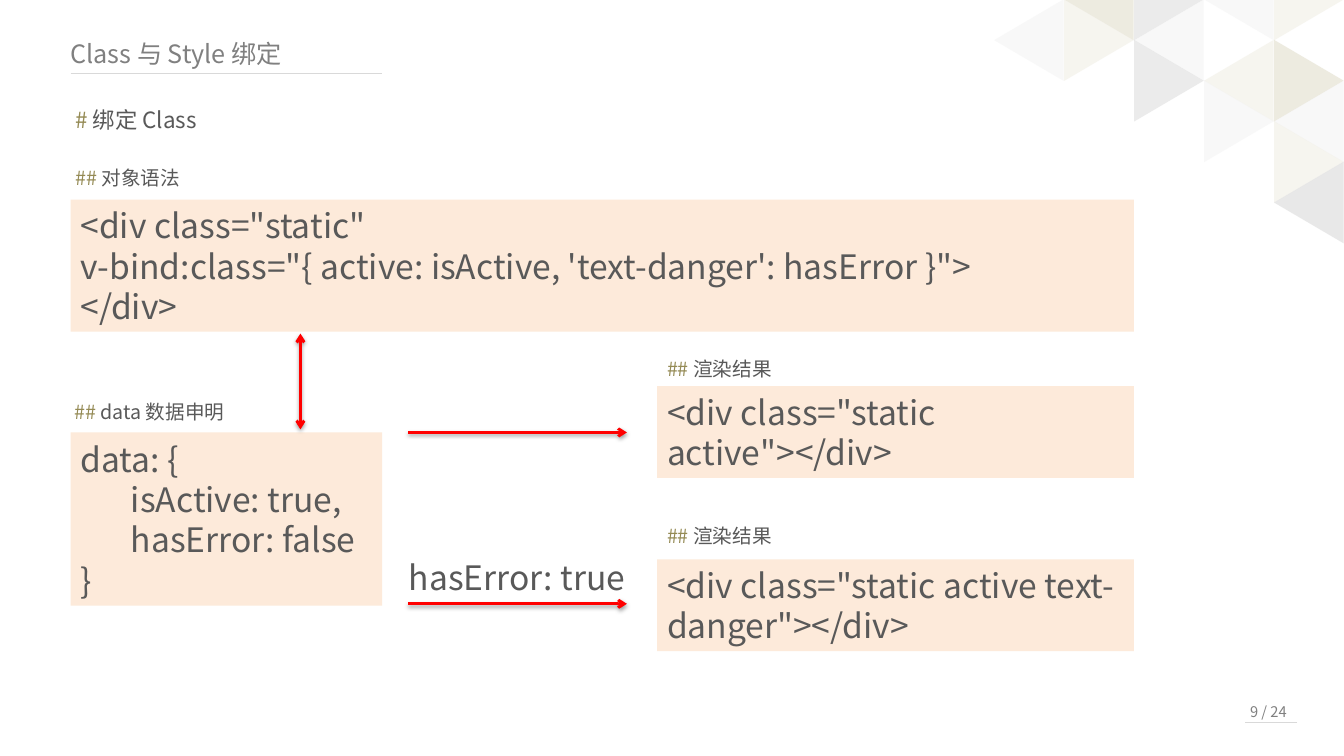
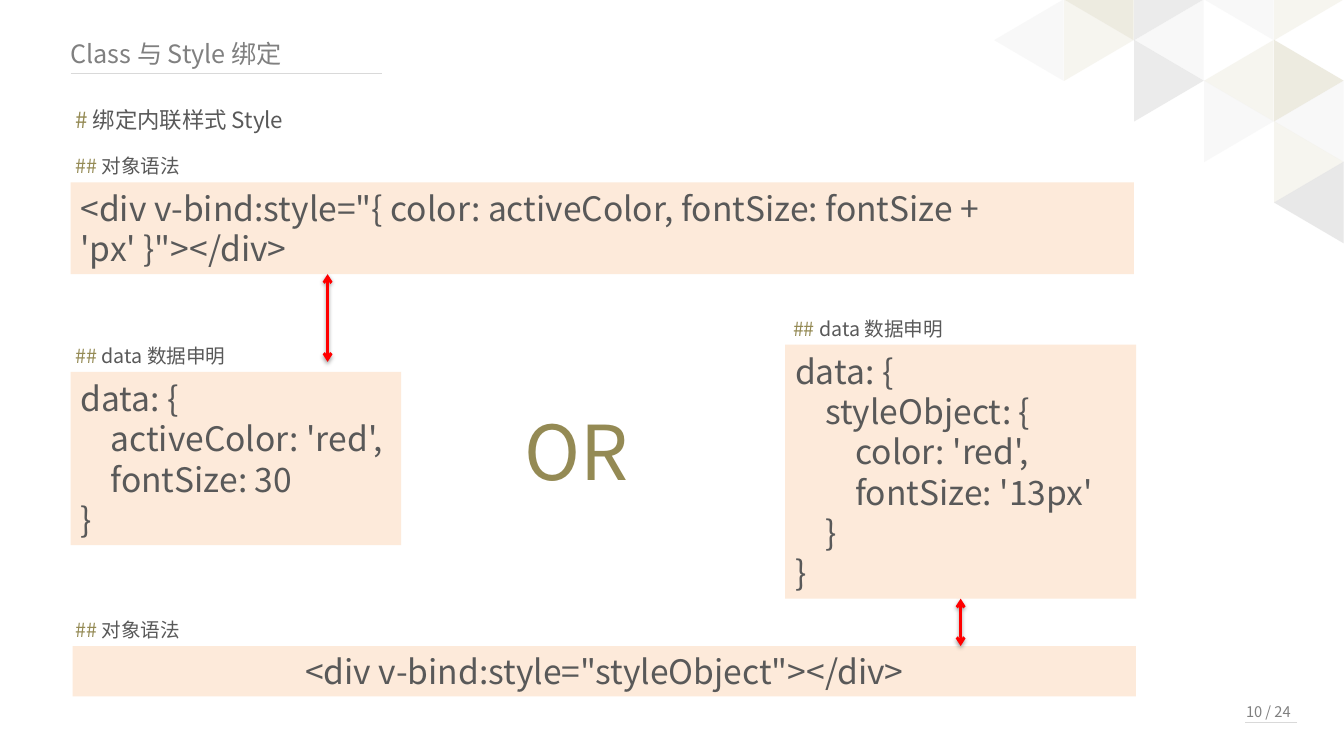
"""Build two slides on class and style binding, with code boxes joined by arrows."""
from lxml import etree
from pptx import Presentation
from pptx.dml.color import RGBColor
from pptx.enum import shapes, text
from pptx.oxml import ns
from pptx.util import Pt

FONT = "Noto Sans CJK SC"
COLORS = {
    "title": "808080", "body": "595959", "accent": "948A54", "rule": "D9D9D9",
    "code": "FDEADA", "arrow": "FF0000", "shadow": "000000",
    "khaki": "DDD9C3", "gray": "D9D9D9", "pale": "F2F2F2", "cream": "EEECE1", "white": "FFFFFF",
}
TITLE = "Class 与 Style 绑定"
PAGE_TOTAL = 24
LEFT, WIDE = 50.4, 759.6
LABEL_LEFT = 46.8
RESULT_LEFT, RESULT_WIDTH = 469.4, 340.6

MOSAIC_ORIGIN, MOSAIC_STEP, TRIANGLE = (705.8, -25.2), (50, 29), (58.3, 49.7)
MOSAIC = [
    (1, 0, 270, "khaki"), (2, 0, 90, "gray"), (3, 0, 270, "pale"), (4, 0, 90, "cream"),
    (1, 1, 90, "cream"), (2, 1, 270, "pale"), (3, 1, 90, "white"), (2, 2, 90, "gray"),
    (3, 2, 270, "cream"), (4, 2, 90, "khaki"), (3, 3, 90, "pale"), (4, 3, 270, "pale"),
    (0, 1, 270, "pale"), (4, 4, 90, "cream"), (4, 5, 270, "pale"), (4, 5, 270, "gray"),
]

SLIDES = [
    {
        "page": 9,
        "heading": "绑定 Class",
        "labels": [
            (LABEL_LEFT, 115.2, "对象语法"), (46, 282.2, "data 数据申明"),
            (RESULT_LEFT, 251.3, "渲染结果"), (RESULT_LEFT, 370.8, "渲染结果"),
        ],
        "code": [
            ((LEFT, 142.6, WIDE, 94.3), "left", [
                (0, '<div class="static"'),
                (0, "v-bind:class=\"{ active: isActive, 'text-danger': hasError }\">"),
                (0, "</div>")]),
            ((LEFT, 308.9, 222.5, 123.8), "left", [
                (0, "data: {"), (36, "isActive: true,"), (36, "hasError: false"), (0, "}")]),
            ((RESULT_LEFT, 275.8, RESULT_WIDTH, 65.5), "left", [
                (0, '<div class="static active"></div>')]),
            ((RESULT_LEFT, 399.6, RESULT_WIDTH, 65.5), "left", [
                (0, '<div class="static active text-danger"></div>')]),
        ],
        "captions": [((285, 394.6, 175, 36), 24, "body", "left", "hasError: true")],
        "arrows": [
            ((214.6, 238.3), (214.6, 306.7), True, None),
            ((291.6, 308.9), (447.8, 308.9), False, None),
            ((291.6, 431.3), (447.8, 431.3), False, None),
        ],
    },
    {
        "page": 10,
        "heading": "绑定内联样式 Style",
        "labels": [
            (LABEL_LEFT, 106.6, "对象语法"), (LABEL_LEFT, 241.9, "data 数据申明"),
            (LABEL_LEFT, 437.8, "对象语法"), (559.4, 222.5, "data 数据申明"),
        ],
        "code": [
            ((LEFT, 130.3, WIDE, 65.5), "left", [
                (0, "<div v-bind:style=\"{ color: activeColor, fontSize: fontSize +\v'px' }\"></div>")]),
            ((LEFT, 265.7, 236.2, 123.8), "left", [
                (0, "data: {"), (21.5, "activeColor: 'red',"), (21.5, "fontSize: 30"), (0, "}")]),
            ((51.8, 461.5, WIDE, 36), "center", [
                (0, '<div v-bind:style="styleObject"></div>')]),
            ((560.9, 246.2, 250.6, 181.4), "left", [
                (0, "data: {"), (21.5, "styleObject: {"), (43, "color: 'red',"),
                (43, "fontSize: '13px'"), (21.5, "}"), (0, "}")]),
        ],
        "captions": [((360, 285.8, 103, 72.7), 54, "accent", "center", "OR")],
        "arrows": [
            ((234, 195.8), (234, 258.5), True, None),
            ((686.2, 427.6), (686.2, 461.5), True, 3),
        ],
    },
]
ALIGN = {"left": text.PP_ALIGN.LEFT, "center": text.PP_ALIGN.CENTER}


def points(values):
    return [Pt(value) for value in values]


def rgb(name):
    return RGBColor.from_string(COLORS[name])


def add_xml(parent, tag, **attributes):
    return etree.SubElement(parent, ns.qn(tag), attributes)


def format_paragraph(paragraph, size, colors, align="left", indent=0):
    paragraph.alignment = ALIGN[align]
    paragraph.line_spacing = Pt(size * 1.2)
    if indent:
        properties = paragraph._p.get_or_add_pPr()
        properties.set("marL", str(Pt(indent)))
        properties.set("indent", "0")
    for index, run in enumerate(paragraph.runs):
        run.font.size = Pt(size)
        run.font.name = FONT
        run.font.color.rgb = rgb(colors[min(index, len(colors) - 1)])
        add_xml(run.font._element, "a:ea", typeface=FONT)


def add_text(slide, box, size, colors, parts, align="left"):
    frame = slide.shapes.add_textbox(*points(box)).text_frame
    frame.word_wrap = True
    frame.auto_size = text.MSO_AUTO_SIZE.SHAPE_TO_FIT_TEXT
    paragraph = frame.paragraphs[0]
    paragraph.text = parts[0]
    for part in parts[1:]:
        paragraph.add_run().text = part
    format_paragraph(paragraph, size, colors, align)


def add_filled(slide, kind, box, color):
    shape = slide.shapes.add_shape(kind, *points(box))
    shape.shadow.inherit = False
    shape.fill.solid()
    shape.fill.fore_color.rgb = rgb(color)
    shape.line.fill.background()
    return shape


def add_code(slide, box, align, lines):
    panel = add_filled(slide, shapes.MSO_SHAPE.RECTANGLE, box, "code")
    frame = panel.text_frame
    frame.word_wrap = True
    frame.auto_size = text.MSO_AUTO_SIZE.SHAPE_TO_FIT_TEXT
    frame.vertical_anchor = text.MSO_ANCHOR.MIDDLE
    for index, (indent, line) in enumerate(lines):
        paragraph = frame.add_paragraph() if index else frame.paragraphs[0]
        paragraph.text = line
        format_paragraph(paragraph, 24, ["body"], align, indent)
    return panel


def add_line(slide, start, end, color, width):
    line = slide.shapes.add_connector(shapes.MSO_CONNECTOR.STRAIGHT, *points(start + end))
    line.line.color.rgb = rgb(color)
    line.line.width = Pt(width)
    return line, add_xml(line._element.spPr, "a:effectLst")


def add_arrow(slide, start, end, two_headed, source):
    arrow, effects = add_line(slide, start, end, "arrow", 2)
    outline = arrow.line._get_or_add_ln()
    if two_headed:
        add_xml(outline, "a:headEnd", type="arrow")
    add_xml(outline, "a:tailEnd", type="arrow")
    shadow = add_xml(effects, "a:outerShdw", blurRad=str(Pt(3.1)), dist=str(Pt(1.6)),
                     dir="5400000", rotWithShape="0")
    shade = add_xml(shadow, "a:srgbClr", val=COLORS["shadow"])
    add_xml(shade, "a:alpha", val="38000")
    if source is not None:
        arrow.begin_connect(source, 2)


def add_frame(slide, page):
    for column, row, rotation, color in MOSAIC:
        left = MOSAIC_ORIGIN[0] + column * MOSAIC_STEP[0]
        top = MOSAIC_ORIGIN[1] + row * MOSAIC_STEP[1]
        triangle = add_filled(slide, shapes.MSO_SHAPE.ISOSCELES_TRIANGLE,
                              (left, top, *TRIANGLE), color)
        triangle.rotation = rotation
        tint = triangle._element.spPr.find(ns.qn("a:solidFill"))[0]
        add_xml(tint, "a:alpha", val="50000")
    add_text(slide, (43.2, 23.8, 269.3, 28.8), 18, ["title"], [TITLE])
    add_line(slide, (LEFT, 52.6), (272.9, 52.6), "rule", 0.75)
    add_text(slide, (876, 498.2, 60, 20), 10.5, ["title"], [f"{page} / {PAGE_TOTAL}"], "center")
    add_line(slide, (926.6, 516.2), (889.2, 516.2), "rule", 0.75)


def build_slide(deck, content):
    slide = deck.slides.add_slide(deck.slide_layouts[6])
    add_frame(slide, content["page"])
    add_text(slide, (LABEL_LEFT, 72, 180.7, 26.6), 16, ["accent", "body"],
             ["# ", content["heading"]])
    panels = [add_code(slide, *code) for code in content["code"]]
    for left, top, label in content["labels"]:
        add_text(slide, (left, top, 180.7, 24.2), 14, ["accent", "body"], ["## ", label])
    for box, size, color, align, caption in content["captions"]:
        add_text(slide, box, size, [color], [caption], align)
    for start, end, two_headed, source in content["arrows"]:
        add_arrow(slide, start, end, two_headed, None if source is None else panels[source])


def main():
    deck = Presentation()
    deck.slide_width, deck.slide_height = Pt(960), Pt(540)
    for content in SLIDES:
        build_slide(deck, content)
    deck.save("out.pptx")


if __name__ == "__main__":
    main()
